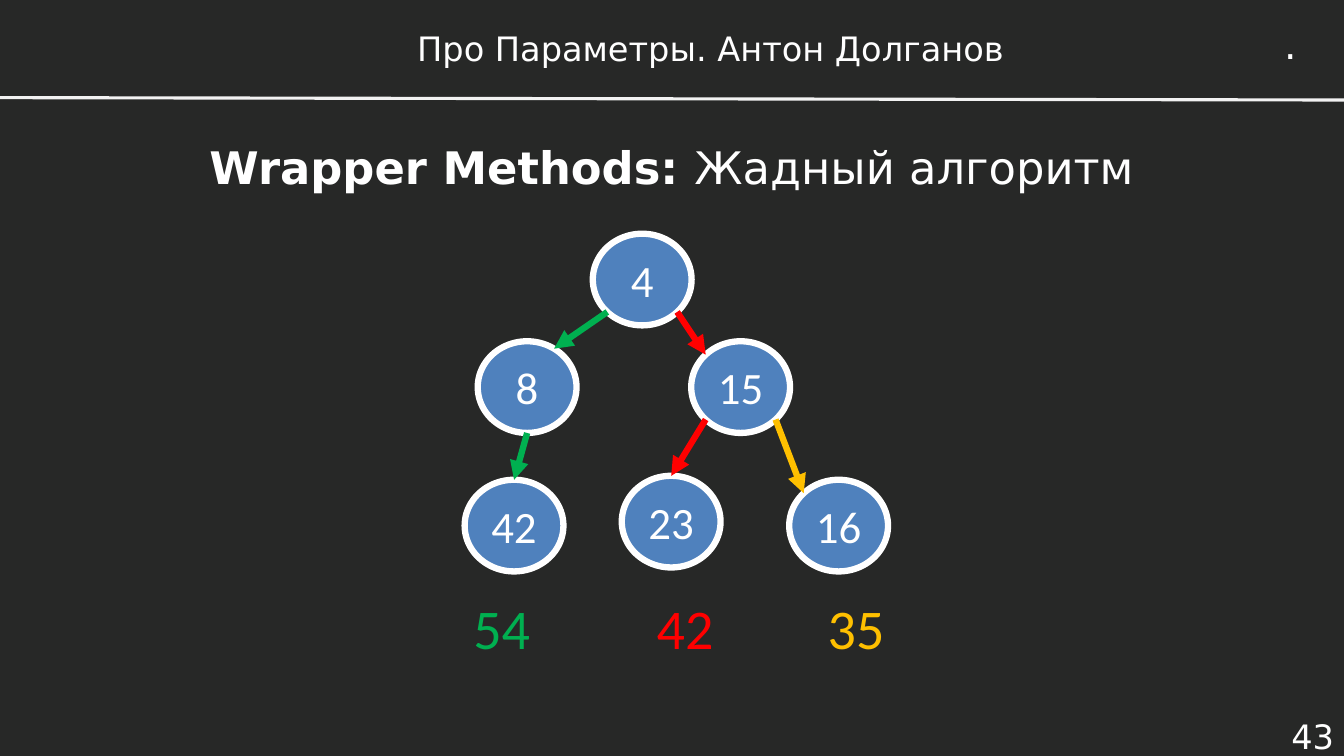
from dataclasses import dataclass
from math import cos, radians, sin

from lxml.etree import SubElement
from pptx import Presentation
from pptx.dml.color import RGBColor
from pptx.enum.shapes import MSO_CONNECTOR as CONN, MSO_SHAPE as SHAPE
from pptx.enum.text import MSO_ANCHOR as ANCHOR, PP_ALIGN as ALIGN
from pptx.oxml.ns import qn
from pptx.shapes.autoshape import Shape
from pptx.shapes.connector import Connector
from pptx.util import Cm, Pt

WHITE, GREEN, RED, AMBER = "FFFFFF", "00B050", "FF0000", "FFC000"
HEAD_FONT, TREE_FONT = "DejaVu Sans", "Calibri"
SLIDE_W, SLIDE_H = 33.87, 19.05
NODE_W, NODE_H = 2.49, 2.31
TOP = 90


@dataclass
class Node:
    label: str
    left: float
    top: float

    def rim(self, angle: float) -> tuple[float, float]:
        """Point on the outline, counted anticlockwise in degrees from the right."""
        a = radians(angle)
        return (self.left + NODE_W / 2 * (1 + cos(a)),
                self.top + NODE_H / 2 * (1 - sin(a)))


@dataclass
class Edge:
    parent: str
    child: str
    out_angle: float
    in_angle: float
    color: str


@dataclass
class Label:
    text: str
    left: float
    top: float
    width: float
    height: float
    size: float
    align: ALIGN
    anchor: ANCHOR


@dataclass
class PathSum:
    text: str
    color: str


NODES = [
    Node("4", 14.94, 5.89),
    Node("8", 12.04, 8.6),
    Node("15", 17.42, 8.6),
    Node("42", 11.71, 12.09),
    Node("23", 15.67, 11.99),
    Node("16", 19.89, 12.09),
]
EDGES = [
    Edge("4", "8", 225, 57, GREEN),
    Edge("4", "15", 315, 135, RED),
    Edge("8", "42", 270, TOP, GREEN),
    Edge("15", "23", 225, TOP, RED),
    Edge("15", "16", 315, 135, AMBER),
]
LABELS = [
    Label("43", 31.19, 17.98, 2.68, 1.14, 24, ALIGN.RIGHT, ANCHOR.MIDDLE),
    Label("Про Параметры. Антон Долганов", 7.14, 0.48, 21.54, 1.45, 24,
          ALIGN.CENTER, ANCHOR.MIDDLE),
    Label(".", 32.11, 0.38, 0.89, 1.45, 28, ALIGN.LEFT, ANCHOR.TOP),
]
SUMS = [PathSum("54", GREEN), PathSum("42", RED), PathSum("35", AMBER)]
SUM_TABS = [4.62, 8.93]


def rgb(color: str) -> RGBColor:
    return RGBColor.from_string(color)


def set_font(font, name: str, size: float, color: str = WHITE) -> None:
    font.name, font.size = name, Pt(size)
    font.color.rgb = rgb(color)


def add_label(s, label: Label) -> None:
    box = s.shapes.add_textbox(Cm(label.left), Cm(label.top),
                               Cm(label.width), Cm(label.height))
    tf = box.text_frame
    tf.word_wrap, tf.vertical_anchor = True, label.anchor
    p = tf.paragraphs[0]
    p.text, p.alignment = label.text, label.align
    set_font(p.font, HEAD_FONT, label.size)


def add_line(s, start: tuple[float, float], end: tuple[float, float],
             color: str, width: float) -> Connector:
    line = s.shapes.add_connector(CONN.STRAIGHT, *map(Cm, start + end))
    line.line.color.rgb = rgb(color)
    line.line.width = Pt(width)
    SubElement(line._element.spPr, qn("a:effectLst"))
    return line


def add_node(s, node: Node) -> Shape:
    sp = s.shapes.add_shape(SHAPE.OVAL, Cm(node.left), Cm(node.top),
                            Cm(NODE_W), Cm(NODE_H))
    sp.shadow.inherit = False
    sp.fill.solid()
    sp.fill.fore_color.rgb = rgb("4F81BD")
    sp.line.color.rgb = rgb(WHITE)
    sp.line.width = Pt(4.5)
    tf = sp.text_frame
    tf.vertical_anchor = ANCHOR.MIDDLE
    p = tf.paragraphs[0]
    p.text, p.alignment = node.label, ALIGN.CENTER
    set_font(p.font, TREE_FONT, 32)
    return sp


def add_tree(s) -> None:
    ovals = {node.label: add_node(s, node) for node in NODES}
    nodes = {node.label: node for node in NODES}
    for edge in EDGES:
        arrow = add_line(s, nodes[edge.parent].rim(edge.out_angle),
                         nodes[edge.child].rim(edge.in_angle), edge.color, 4.5)
        SubElement(arrow.line._ln, qn("a:tailEnd"), type="triangle")
        if edge.in_angle == TOP:
            arrow.end_connect(ovals[edge.child], 0)


def add_title(s) -> None:
    title = s.shapes.title
    title.left, title.top = Cm(1.6), Cm(2.49)
    title.width, title.height = Cm(30.66), Cm(3.4)
    tf = title.text_frame
    tf.vertical_anchor = ANCHOR.MIDDLE
    p = tf.paragraphs[0]
    p.alignment = ALIGN.CENTER
    set_font(p.font, HEAD_FONT, 32)
    for text, bold in (("Wrapper Methods: ", True), ("Жадный алгоритм", False)):
        r = p.add_run()
        r.text, r.font.bold = text, bold


def add_sums(s) -> None:
    """Write the path totals in one line, spaced by tab stops."""
    box = s.shapes.add_textbox(Cm(11.68), Cm(14.83), Cm(14.07), Cm(1.96))
    tf = box.text_frame
    tf.word_wrap = True
    p = tf.paragraphs[0]
    tabs = SubElement(p._p.get_or_add_pPr(), qn("a:tabLst"))
    for pos in SUM_TABS:
        SubElement(tabs, qn("a:tab"), pos=str(Cm(pos)), algn="l")
    p.font.name, p.font.size = TREE_FONT, Pt(40)
    for i, total in enumerate(SUMS):
        r = p.add_run()
        r.text = "\t" * (i > 0) + total.text
        r.font.color.rgb = rgb(total.color)


def main() -> None:
    prs = Presentation()
    prs.slide_width, prs.slide_height = Cm(SLIDE_W), Cm(SLIDE_H)
    s = prs.slides.add_slide(prs.slide_layouts[5])
    s.background.fill.solid()
    s.background.fill.fore_color.rgb = rgb("272827")
    for label in LABELS:
        add_label(s, label)
    add_line(s, (0, 2.46), (SLIDE_W, 2.52), "F2F2F2", 2.25)
    add_title(s)
    add_tree(s)
    add_sums(s)
    prs.save("out.pptx")


if __name__ == "__main__":
    main()
